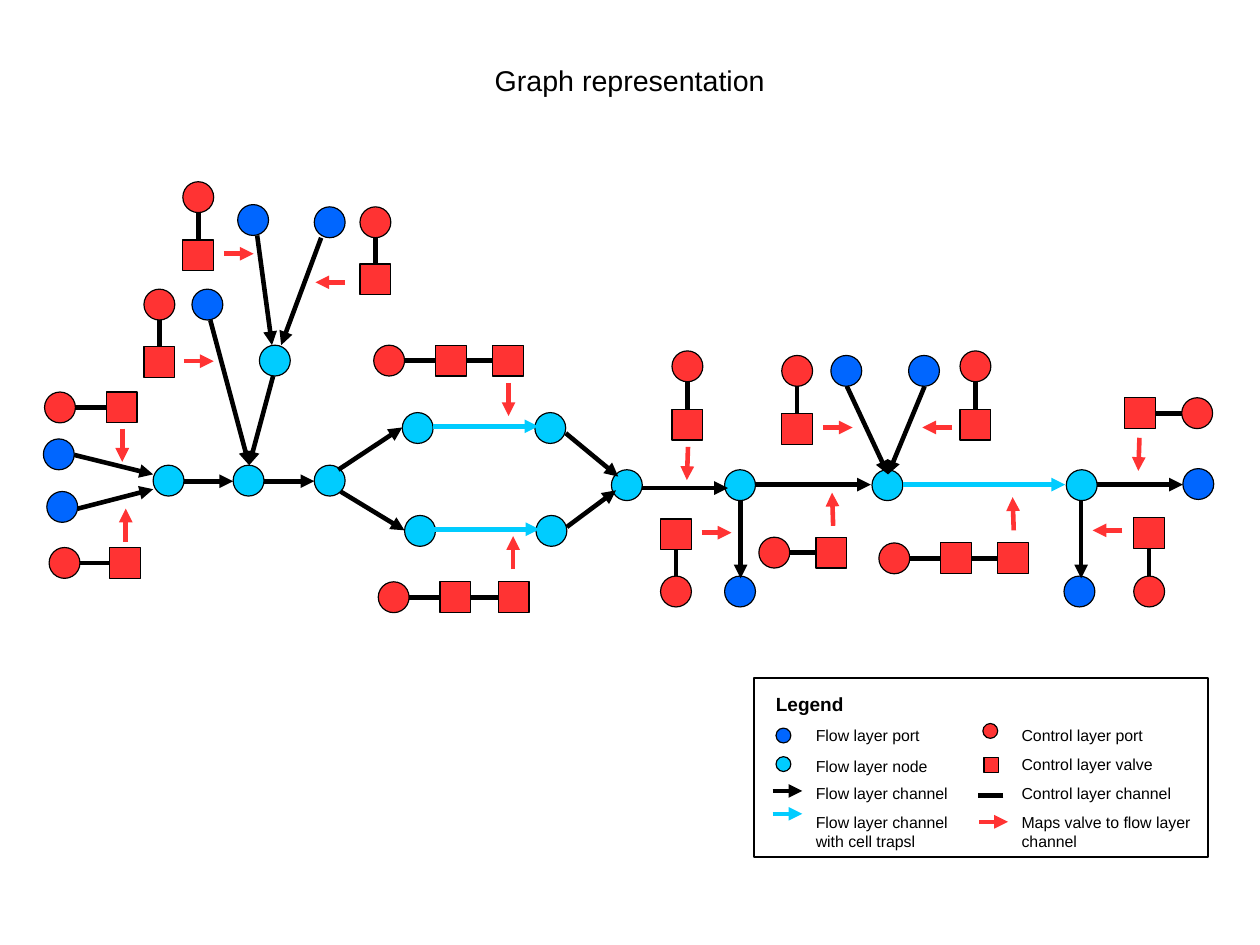
from lxml import etree
from pptx import Presentation
from pptx.dml.color import RGBColor
from pptx.enum.shapes import MSO_CONNECTOR, MSO_SHAPE
from pptx.enum.text import MSO_ANCHOR, PP_ALIGN
from pptx.oxml.ns import qn
from pptx.util import Inches, Pt

CIRCLE, SQUARE = MSO_SHAPE.OVAL, MSO_SHAPE.RECTANGLE
STRAIGHT = MSO_CONNECTOR.STRAIGHT
LEFT, CENTER = PP_ALIGN.LEFT, PP_ALIGN.CENTER
TOP, MIDDLE = MSO_ANCHOR.TOP, MSO_ANCHOR.MIDDLE

BLACK, BLUE, CYAN, RED = "000000", "0066FF", "00CCFF", "FF3333"
# Page size in inches, from 793.75 by 595.25 points
PAGE_WIDTH, PAGE_HEIGHT = 793.75 / 72, 595.25 / 72
NODE_SIZE, KEY_SIZE = 0.27, 0.13
CHANNEL_WIDTH = 2.89

# Unit step, then the valve sides that face the port and point away from it
DIRECTIONS = {
    "up": (0, -1, 2, 0),
    "down": (0, 1, 0, 2),
    "left": (-1, 0, 3, 1),
    "right": (1, 0, 1, 3),
}

FLOW_PORTS = [
    (0.38, 3.84), (0.41, 4.3), (1.68, 2.53), (2.08, 1.79), (2.75, 1.81),
    (6.34, 5.04), (7.27, 3.11), (7.95, 3.11), (9.31, 5.04), (10.35, 4.1),
]
FLOW_NODES = [
    (1.34, 4.07), (2.04, 4.07), (2.75, 4.07), (2.27, 3.02),
    (3.52, 3.61), (3.54, 4.51), (4.68, 3.61), (4.69, 4.51),
    (5.35, 4.11), (6.34, 4.11), (7.63, 4.11), (9.33, 4.11),
]
FLOW_CHANNELS = [
    (0.65, 3.98, 1.34, 4.15), (0.68, 4.45, 1.34, 4.28),
    (1.61, 4.21, 2.04, 4.21), (2.31, 4.21, 2.75, 4.21),
    (1.84, 2.8, 2.18, 4.07), (2.39, 3.29, 2.18, 4.07),
    (2.25, 2.06, 2.38, 3.02), (2.81, 2.08, 2.46, 3.02),
    (2.96, 4.11, 3.52, 3.74), (2.98, 4.3, 3.54, 4.64),
    (4.95, 3.79, 5.41, 4.17), (4.96, 4.61, 5.39, 4.29),
    (5.62, 4.27, 6.37, 4.27), (6.61, 4.24, 7.62, 4.24),
    (6.48, 4.38, 6.48, 5.06), (7.41, 3.38, 7.77, 4.15),
    (8.09, 3.38, 7.77, 4.15), (9.6, 4.24, 10.35, 4.24),
    (9.46, 4.38, 9.46, 5.06),
]
TRAP_CHANNELS = [
    (3.79, 3.73, 4.71, 3.73), (3.8, 4.63, 4.72, 4.63), (7.9, 4.24, 9.32, 4.24),
]
VALVE_MAPPINGS = [
    (1.07, 3.75, 1.07, 4.04), (1.1, 4.74, 1.1, 4.45),
    (1.61, 3.16, 1.87, 3.16), (1.96, 2.22, 2.22, 2.22),
    (3.02, 2.47, 2.76, 2.47), (4.45, 3.35, 4.45, 3.64),
    (4.49, 4.98, 4.49, 4.69), (6.02, 3.91, 6.01, 4.2),
    (6.14, 4.66, 6.4, 4.66), (7.2, 3.74, 7.46, 3.74),
    (7.29, 4.6, 7.28, 4.31), (8.33, 3.74, 8.07, 3.74),
    (8.87, 4.64, 8.86, 4.35), (9.82, 4.64, 9.56, 4.64),
    (9.97, 3.83, 9.96, 4.12),
]
# Port left and top, direction of the valves, distance of each valve
CONTROL_CHAINS = [
    (0.39, 3.43, "right", [0.54]), (0.43, 4.79, "right", [0.53]),
    (3.27, 3.02, "right", [0.54, 1.04]), (3.31, 5.09, "right", [0.54, 1.05]),
    (6.64, 4.7, "right", [0.5]), (7.69, 4.75, "right", [0.54, 1.04]),
    (10.34, 3.48, "left", [0.5]),
    (1.26, 2.53, "down", [0.5]), (1.6, 1.59, "down", [0.51]),
    (3.15, 1.81, "down", [0.5]), (5.88, 3.07, "down", [0.51]),
    (6.84, 3.11, "down", [0.51]), (8.4, 3.07, "down", [0.51]),
    (5.78, 5.04, "up", [0.5]), (9.92, 5.04, "up", [0.51]),
]
LEGEND_MARKS = [
    (CIRCLE, 6.79, 6.37, BLUE), (CIRCLE, 6.79, 6.62, CYAN),
    (CIRCLE, 8.6, 6.33, RED), (SQUARE, 8.61, 6.63, RED),
]
LEGEND_LINES = [
    ((6.76, 6.92, 7.02, 6.92), BLACK, True), ((6.76, 7.12, 7.02, 7.12), CYAN, True),
    ((8.78, 6.96, 8.56, 6.96), BLACK, False), ((8.57, 7.19, 8.82, 7.19), RED, True),
]
LEGEND_LABELS = [
    (7.04, 6.3, ["Flow layer port"]),
    (7.04, 6.57, ["Flow layer node"]),
    (7.04, 6.81, ["Flow layer channel"]),
    (7.04, 7.06, ["Flow layer channel", "with cell trapsl"]),
    (8.84, 6.3, ["Control layer port"]),
    (8.84, 6.55, ["Control layer valve"]),
    (8.84, 6.81, ["Control layer channel"]),
    (8.84, 7.06, ["Maps valve to flow layer", "channel"]),
]


def color(value):
    return RGBColor.from_string(value)


def add_box(page, kind, left, top, width, height, fill=None, line_width=0.75):
    box = page.shapes.add_shape(
        kind, Inches(left), Inches(top), Inches(width), Inches(height))
    box.shadow.inherit = False
    if fill:
        box.fill.solid()
        box.fill.fore_color.rgb = color(fill)
    else:
        box.fill.background()
    box.line.color.rgb = color(BLACK)
    box.line.width = Pt(line_width)
    return box


def add_mark(page, kind, left, top, fill, size=NODE_SIZE):
    return add_box(page, kind, left, top, size, size, fill)


def add_line(page, ends, line_color, arrow=False):
    line = page.shapes.add_connector(STRAIGHT, *[Inches(value) for value in ends])
    line.line.color.rgb = color(line_color)
    line.line.width = Pt(CHANNEL_WIDTH)
    properties = line.line._get_or_add_ln()
    if arrow:
        etree.SubElement(properties, qn("a:tailEnd"), type="triangle")
    etree.SubElement(properties.getparent(), qn("a:effectLst"))
    return line


def add_control_chain(page, left, top, direction, distances):
    step_x, step_y, facing, away = DIRECTIONS[direction]
    half = NODE_SIZE / 2
    add_mark(page, CIRCLE, left, top, RED)
    start = (left + half * (1 + step_x), top + half * (1 + step_y))
    previous = None
    for distance in distances:
        valve = add_mark(page, SQUARE, left + step_x * distance,
                         top + step_y * distance, RED)
        channel = add_line(page, start + start, BLACK)
        if previous:
            channel.begin_connect(previous, away)
        channel.end_connect(valve, facing)
        previous = valve


def add_text(page, left, top, width, height, lines, size=10, bold=False,
             align=LEFT, anchor=TOP):
    box = page.shapes.add_textbox(
        Inches(left), Inches(top), Inches(width), Inches(height))
    frame = box.text_frame
    frame.word_wrap = True
    frame.vertical_anchor = anchor
    font_format = {"name": "Arial", "size": Pt(size), "bold": bold}
    for index, text in enumerate(lines):
        para = frame.add_paragraph() if index else frame.paragraphs[0]
        para.alignment = align
        span = para.add_run()
        span.text = text
        for name, value in font_format.items():
            setattr(span.font, name, value)
        span.font.color.rgb = color(BLACK)


def add_legend(page):
    add_box(page, SQUARE, 6.6, 5.93, 3.97, 1.57, line_width=1.45)
    add_text(page, 6.69, 6.01, 1, 0.28, ["Legend"], size=12, bold=True)
    for kind, left, top, fill in LEGEND_MARKS:
        add_mark(page, kind, left, top, fill, KEY_SIZE)
    for ends, line_color, arrow in LEGEND_LINES:
        add_line(page, ends, line_color, arrow)
    for left, top, lines in LEGEND_LABELS:
        add_text(page, left, top, 1.84, 0.08 + 0.17 * len(lines), lines)


def main():
    deck = Presentation()
    deck.slide_width, deck.slide_height = Inches(PAGE_WIDTH), Inches(PAGE_HEIGHT)
    page = deck.slides.add_slide(deck.slide_layouts[6])

    add_text(page, 0.55, 0.01, 9.92, 1.38, ["Graph representation"],
             size=18, align=CENTER, anchor=MIDDLE)

    # Flow layer
    for places, fill in ((FLOW_PORTS, BLUE), (FLOW_NODES, CYAN)):
        for left, top in places:
            add_mark(page, CIRCLE, left, top, fill)
    for channels, line_color in ((FLOW_CHANNELS, BLACK), (TRAP_CHANNELS, CYAN)):
        for ends in channels:
            add_line(page, ends, line_color, arrow=True)

    # Control layer and its mapping to the flow layer
    for chain in CONTROL_CHAINS:
        add_control_chain(page, *chain)
    for ends in VALVE_MAPPINGS:
        add_line(page, ends, RED, arrow=True)

    add_legend(page)
    deck.save("out.pptx")


if __name__ == "__main__":
    main()
